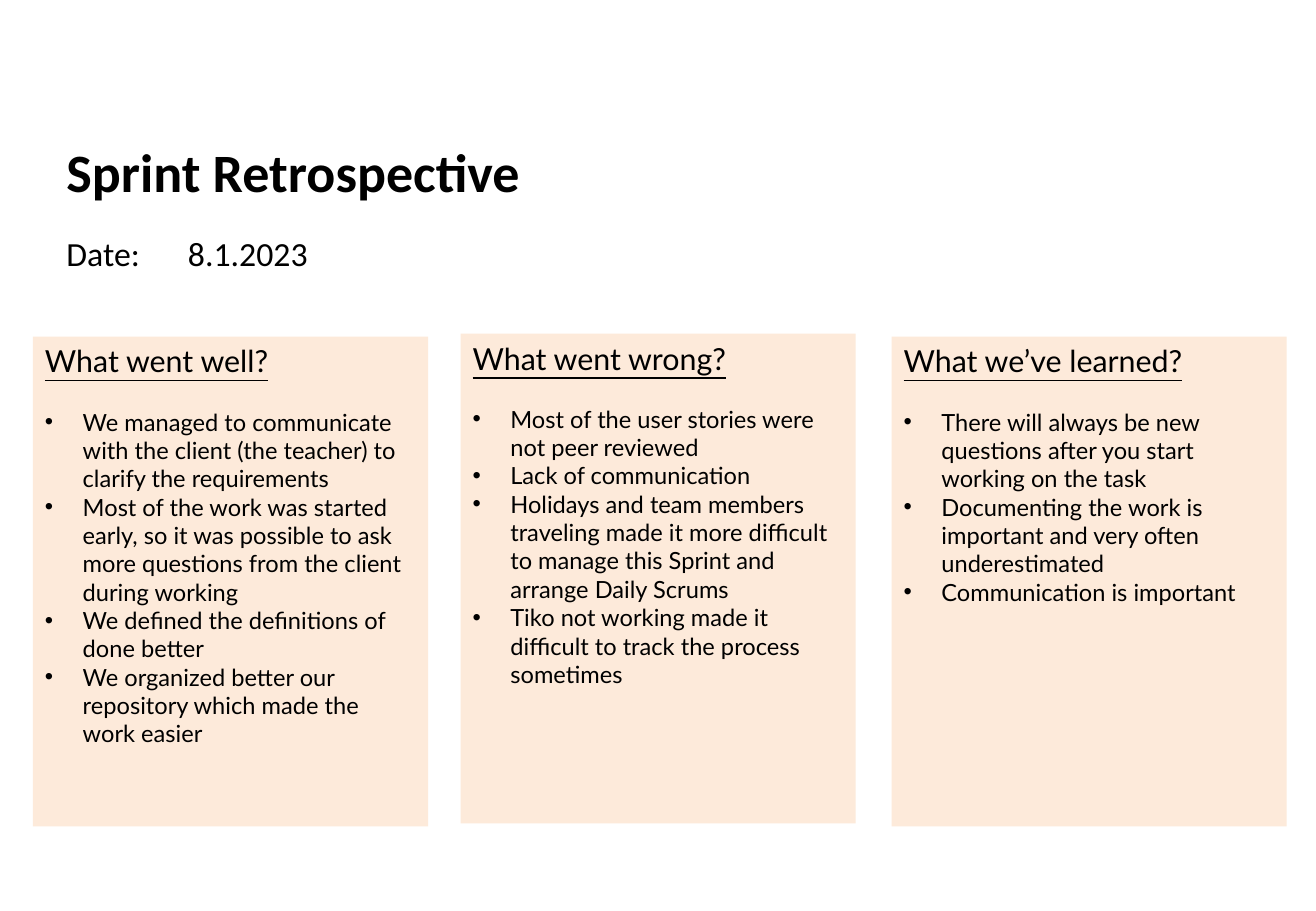
from lxml.etree import SubElement
from pptx import Presentation
from pptx.dml.color import RGBColor
from pptx.enum.shapes import MSO_SHAPE
from pptx.enum.text import MSO_ANCHOR, PP_ALIGN
from pptx.oxml.ns import qn
from pptx.util import Cm, Pt

BLACK = RGBColor(0x00, 0x00, 0x00)
PEACH = RGBColor(0xFD, 0xEA, 0xDA)

# Heading, left and top in cm, points
COLUMNS = [
    ("What went well?", 0.69, 7.04, [
        "We managed to communicate with the client (the teacher) to clarify the requirements",
        "Most of the work was started early, so it was possible to ask more questions "
        "from the client during working",
        "We defined the definitions of done better",
        "We organized better our repository which made the work easier",
    ]),
    ("What went wrong?", 9.63, 6.98, [
        "Most of the user stories were not peer reviewed",
        "Lack of communication",
        "Holidays and team members traveling made it more difficult to manage this Sprint "
        "and arrange Daily Scrums",
        "Tiko not working made it difficult to track the process sometimes",
    ]),
    ("What we’ve learned?", 18.64, 7.04, [
        "There will always be new questions after you start working on the task",
        "Documenting the work is important and very often underestimated",
        "Communication is important",
    ]),
]


def style(para, font_name, size):
    para.alignment = PP_ALIGN.LEFT
    para.font.name = font_name
    para.font.size = Pt(size)
    para.font.color.rgb = BLACK


def add_bullet(para):
    indent = Cm(0.79)
    properties = para._p.get_or_add_pPr()
    properties.set("marL", str(indent))
    properties.set("indent", str(-indent))
    SubElement(properties, qn("a:buFont"), typeface="Arial")
    SubElement(properties, qn("a:buChar"), char="•")


def add_line(page, text, left, top, width, height, size):
    box = page.shapes.add_textbox(left, top, width, height)
    box.text_frame.word_wrap = True
    box.text_frame.text = text
    para = box.text_frame.paragraphs[0]
    style(para, "Calibri", size)
    return para


def add_header(page, left, top, width):
    title = add_line(page, "Sprint Retrospective", left, top, width, Cm(1.6), 32)
    title.font.bold = True
    add_line(page, "Date:\t8.1.2023", left, top + Cm(1.98), width, Cm(1.2), 20)


def add_column(page, heading, points, left, top, width, height):
    panel = page.shapes.add_shape(MSO_SHAPE.RECTANGLE, left, top, width, height)
    panel.shadow.inherit = False
    panel.fill.solid()
    panel.fill.fore_color.rgb = PEACH
    panel.line.fill.background()
    frame = panel.text_frame
    frame.word_wrap = True
    frame.vertical_anchor = MSO_ANCHOR.TOP

    # Underlined heading
    frame.text = heading
    para = frame.paragraphs[0]
    style(para, "Lato", 18)
    para.font.underline = True
    para.space_after = Pt(16.8)

    # Bulleted points
    for point in points:
        para = frame.add_paragraph()
        para.text = point
        add_bullet(para)
        style(para, "Lato", 14)


def main():
    deck = Presentation()
    deck.slide_width, deck.slide_height = Cm(27.51), Cm(19.05)
    page = deck.slides.add_slide(deck.slide_layouts[6])

    add_header(page, Cm(1.14), Cm(2.77), Cm(25.12))
    for heading, left, top, points in COLUMNS:
        add_column(page, heading, points, Cm(left), Cm(top), Cm(8.26), Cm(10.24))

    deck.save("out.pptx")


if __name__ == "__main__":
    main()
